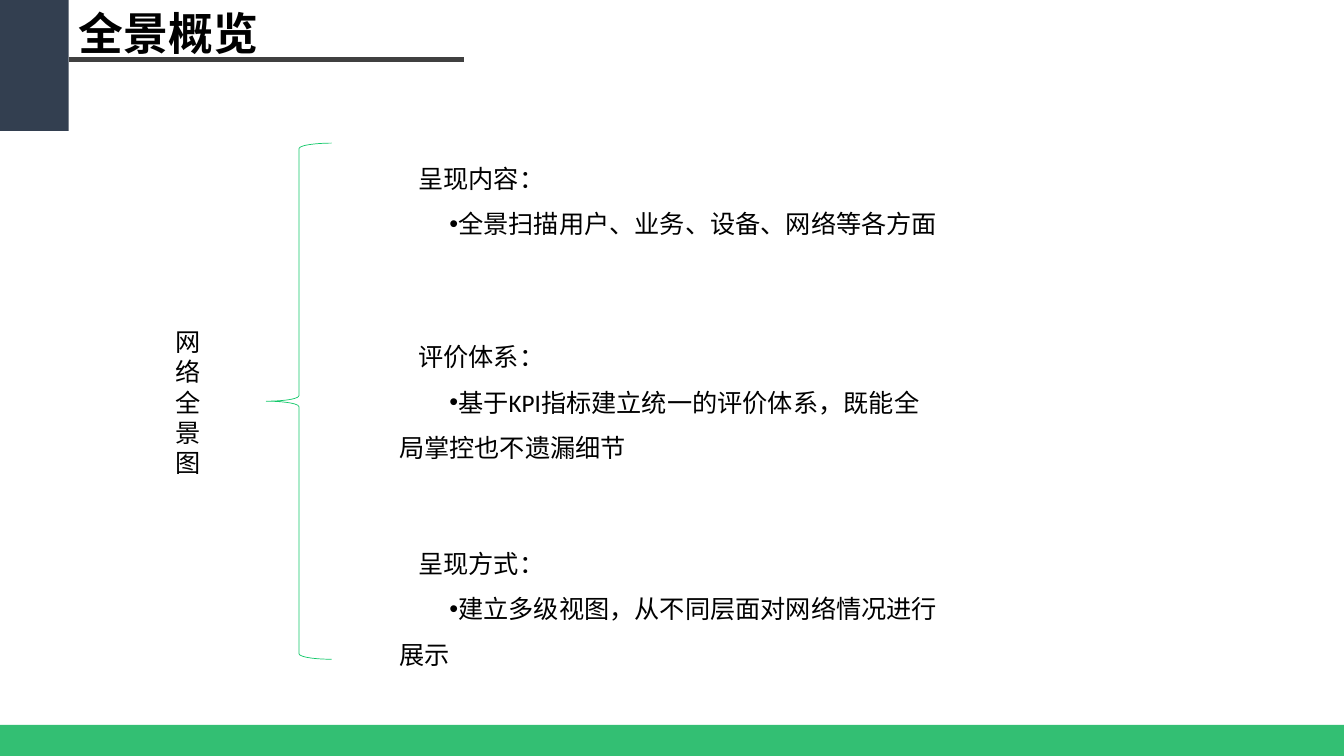
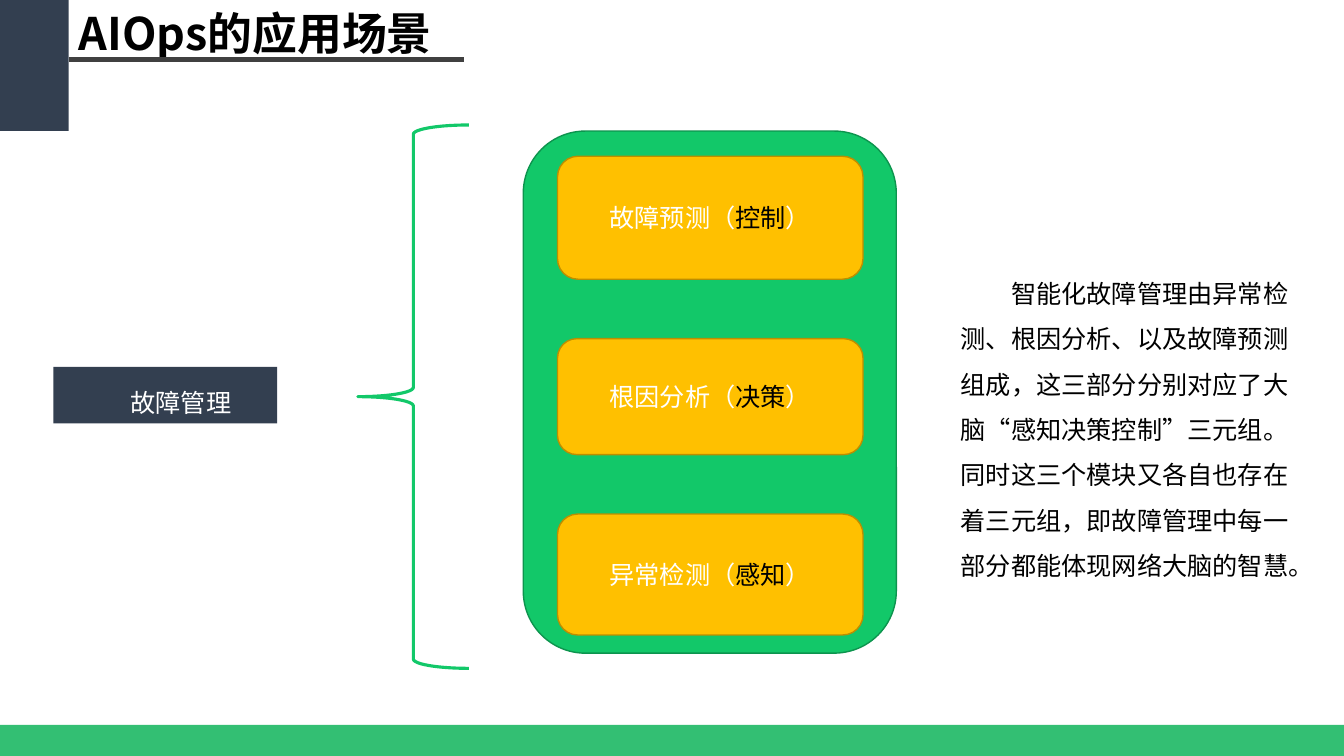
"""Builds two slides on network overview and fault management."""
import pptx
import pptx.util
import pptx.dml.color
import pptx.enum.dml
import pptx.enum.lang
import pptx.enum.shapes
import pptx.enum.text
import pptx.oxml.ns
import lxml.etree

PX = 9144
WIDTH, HEIGHT = 1333, 750
COLORS = {
    "navy": "333F50", "rule": "404040", "footer": "00B050",
    "green": "12C869", "green_edge": "0D944E",
    "amber": "FFC000", "amber_edge": "BD8E00",
    "black": "000000", "white": "FFFFFF",
}
CJK = "Noto Sans CJK SC"
ZH = pptx.enum.lang.MSO_LANGUAGE_ID.SIMPLIFIED_CHINESE
TITLE_FONT = {"name": CJK, "size": pptx.util.Pt(32), "bold": True, "language_id": ZH}
BODY_FONT = {"name": "Calibri", "size": pptx.util.Pt(18), "bold": False, "language_id": ZH}
SHAPES = pptx.enum.shapes.MSO_SHAPE
ANCHOR = pptx.enum.text.MSO_ANCHOR
ALIGN = pptx.enum.text.PP_ALIGN
INDENT = 50


def px(*lengths):
    """Turns px lengths into EMU."""
    return [pptx.util.Emu(n * PX) for n in lengths]


def rgb(name):
    """Looks up a named colour."""
    return pptx.dml.color.RGBColor.from_string(COLORS[name])


def add_xml(parent, tag, **attributes):
    """Appends a DrawingML element."""
    return lxml.etree.SubElement(parent, pptx.oxml.ns.qn(tag), attributes)


def set_frame(tf, anchor=ANCHOR.TOP):
    """Gives a text frame its wrapping and anchor."""
    values = {"word_wrap": True, "vertical_anchor": anchor,
              "auto_size": pptx.enum.text.MSO_AUTO_SIZE.NONE}
    for name, value in values.items():
        setattr(tf, name, value)


def add_run(p, text, color="black", font=BODY_FONT):
    """Adds one formatted run."""
    r = p.add_run()
    r.text = text
    for name, value in font.items():
        setattr(r.font, name, value)
    r.font.color.rgb = rgb(color)
    add_xml(r.font._element, "a:ea", typeface=CJK)


def set_paragraph(p, align=ALIGN.LEFT, spacing=1.5, left=0, first=0, bullet=False):
    """Sets alignment, spacing, indents and bullet."""
    p.alignment = align
    p.line_spacing = spacing
    pPr = p._p.get_or_add_pPr()
    pPr.set("marL", str(left * PX))
    pPr.set("indent", str(first * PX))
    if bullet:
        add_xml(pPr, "a:buFont", typeface="Arial")
        add_xml(pPr, "a:buChar", char="•")


def add_shape(slide, kind, box, fill=None, line=None, width=1):
    """Adds a flat preset shape."""
    sp = slide.shapes.add_shape(kind, *px(*box))
    sp.shadow.inherit = False
    if fill:
        sp.fill.solid()
        sp.fill.fore_color.rgb = rgb(fill)
    else:
        sp.fill.background()
    if line:
        sp.line.color.rgb = rgb(line)
        sp.line.width = pptx.util.Pt(width)
    else:
        sp.line.fill.background()
    return sp


def add_text(slide, box):
    """Adds a wrapping text box and returns its frame."""
    tf = slide.shapes.add_textbox(*px(*box)).text_frame
    set_frame(tf)
    return tf


def add_slide(prs, title, title_width):
    """Adds a slide with its title, corner block, rule and footer band."""
    slide = prs.slides.add_slide(prs.slide_layouts[5])
    add_shape(slide, SHAPES.RECTANGLE, (0, 0, 68, 130), "navy")
    rule = slide.shapes.add_connector(
        pptx.enum.shapes.MSO_CONNECTOR.STRAIGHT, *px(68, 59, 460, 59))
    rule.line.color.rgb = rgb("rule")
    rule.line.width = pptx.util.Pt(3)
    add_xml(rule._element.spPr, "a:effectLst")
    footer = add_shape(slide, SHAPES.RECTANGLE, (0, 719, WIDTH, 31), "footer")
    color = footer._element.spPr.find(".//" + pptx.oxml.ns.qn("a:srgbClr"))
    add_xml(color, "a:alpha", val="80000")

    sp = slide.shapes.title
    sp.left, sp.top, sp.width, sp.height = px(68, 1, title_width, 64)
    set_frame(sp.text_frame)
    p = sp.text_frame.paragraphs[0]
    set_paragraph(p, spacing=1)
    add_run(p, title, font=TITLE_FONT)
    return slide


def add_topic(slide, box, heading, detail):
    """Adds a heading with one bulleted line."""
    tf = add_text(slide, box)
    p = tf.paragraphs[0]
    set_paragraph(p, first=INDENT)
    add_run(p, heading)
    p = tf.add_paragraph()
    set_paragraph(p, left=31, first=INDENT, bullet=True)
    add_run(p, detail)


def add_module(slide, box, name, role):
    """Adds an amber module box with its role in black."""
    sp = add_shape(slide, SHAPES.ROUNDED_RECTANGLE, box, "amber", "amber_edge")
    set_frame(sp.text_frame, ANCHOR.MIDDLE)
    p = sp.text_frame.paragraphs[0]
    set_paragraph(p, ALIGN.CENTER, spacing=1)
    for text, color in ((name + "（", "white"), (role, "black"), ("）", "white")):
        add_run(p, text, color)


def add_overview(prs):
    """Builds the overview slide."""
    slide = add_slide(prs, "全景概览", 261)
    p = add_text(slide, (164, 319, 44, 162)).paragraphs[0]
    set_paragraph(p, spacing=1)
    add_run(p, "网络全景图")
    add_shape(slide, SHAPES.LEFT_BRACE, (264, 142, 65, 512), line="green", width=0.5)
    topics = (
        (142, 101, "呈现内容：", "全景扫描用户、业务、设备、网络等各方面"),
        (319, 146, "评价体系：", "基于KPI指标建立统一的评价体系，既能全局掌控也不遗漏细节"),
        (524, 146, "呈现方式：", "建立多级视图，从不同层面对网络情况进行展示"),
    )
    for top, height, heading, detail in topics:
        add_topic(slide, (355, top, 586, height), heading, detail)


def add_scenarios(prs):
    """Builds the fault management slide."""
    slide = add_slide(prs, "AIOps的应用场景", 392)
    sp = add_shape(slide, SHAPES.RECTANGLE, (53, 364, 222, 56), "navy")
    set_frame(sp.text_frame)
    p = sp.text_frame.paragraphs[0]
    set_paragraph(p, ALIGN.CENTER, left=31)
    add_run(p, "故障管理", "white")

    add_shape(slide, SHAPES.ROUNDED_RECTANGLE, (519, 130, 370, 518), "green", "green_edge")
    modules = (("故障预测", "控制", 122), ("根因分析", "决策", 115), ("异常检测", "感知", 120))
    top, gap = 155, 59
    for name, role, height in modules:
        add_module(slide, (553, top, 303, height), name, role)
        top += height + gap
    add_shape(slide, SHAPES.LEFT_BRACE, (355, 124, 110, 539), line="green", width=2.25)

    p = add_text(slide, (943, 256, 353, 328)).paragraphs[0]
    set_paragraph(p, first=INDENT)
    add_run(p, "智能化故障管理由异常检测、根因分析、以及故障预测组成，"
               "这三部分分别对应了大脑“感知决策控制”三元组。"
               "同时这三个模块又各自也存在着三元组，"
               "即故障管理中每一部分都能体现网络大脑的智慧。")


def main():
    """Builds and saves the presentation."""
    prs = pptx.Presentation()
    prs.slide_width, prs.slide_height = px(WIDTH, HEIGHT)
    add_overview(prs)
    add_scenarios(prs)
    prs.save("out.pptx")


if __name__ == "__main__":
    main()
